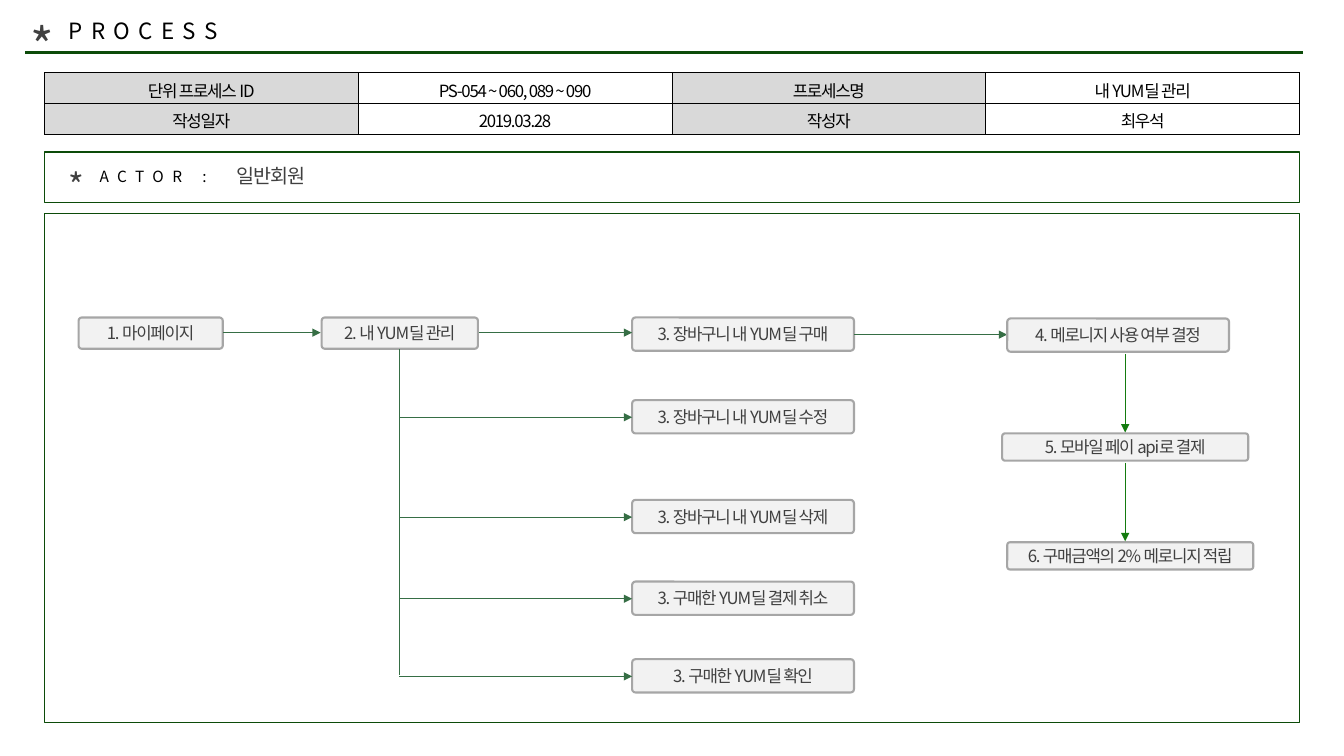
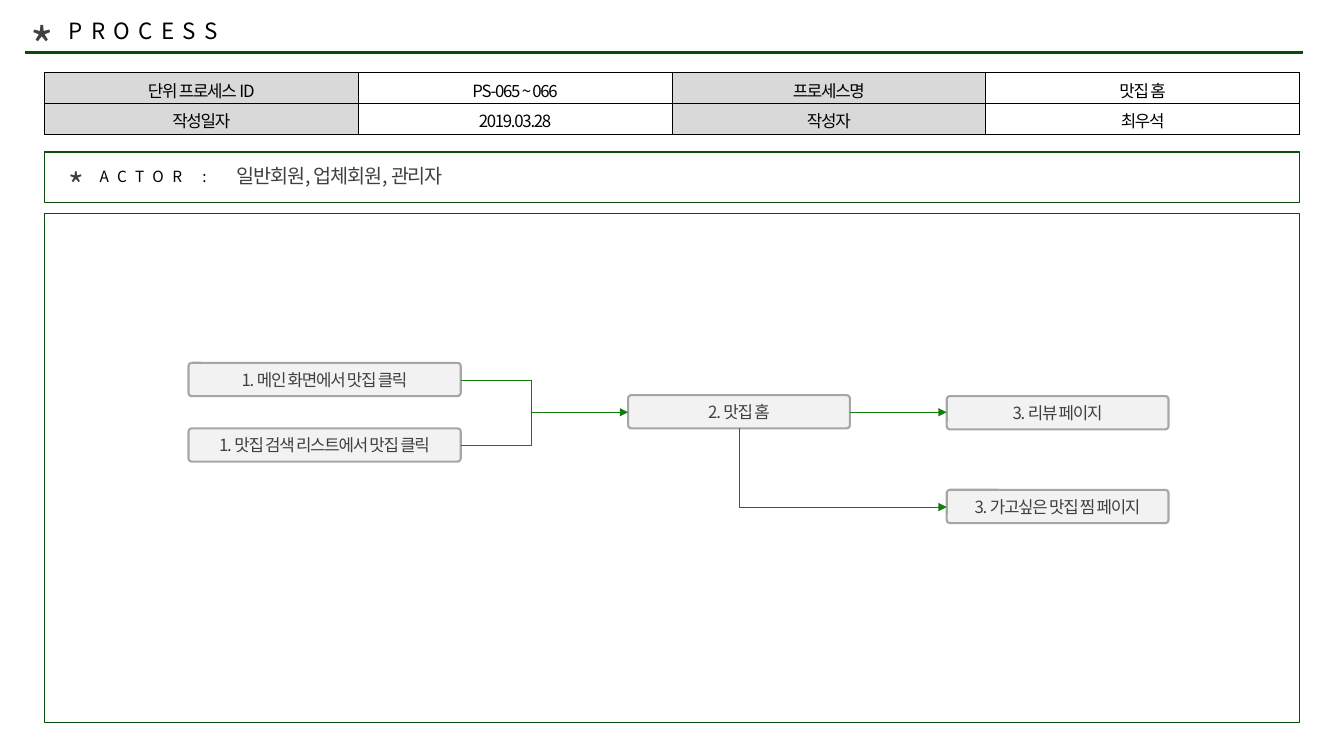
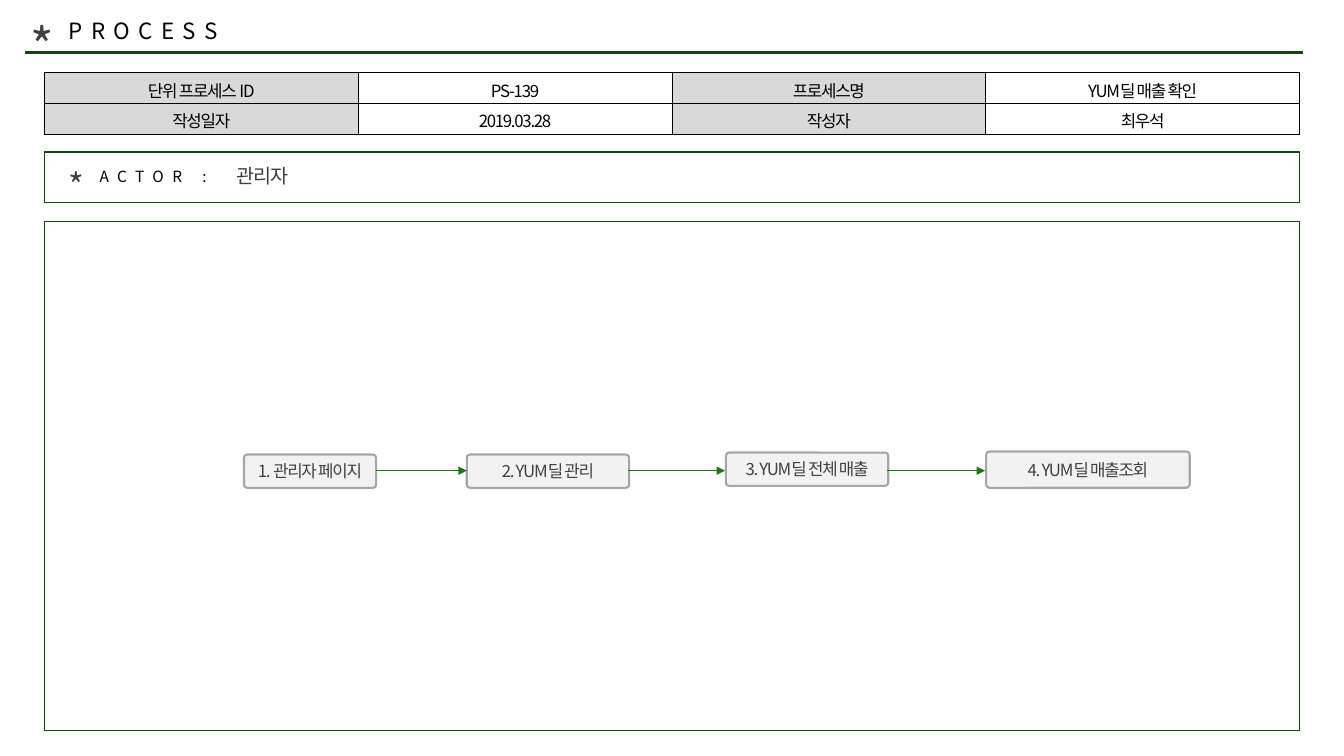
from pptx import Presentation
from pptx.dml.color import RGBColor
from pptx.enum.shapes import MSO_CONNECTOR, MSO_SHAPE
from pptx.enum.text import MSO_ANCHOR, MSO_AUTO_SIZE, PP_ALIGN
from pptx.oxml.ns import qn
from pptx.util import Inches, Pt
from lxml import etree

RECT, ROUND = MSO_SHAPE.RECTANGLE, MSO_SHAPE.ROUNDED_RECTANGLE
LINE = MSO_CONNECTOR.STRAIGHT
TOP, MID = MSO_ANCHOR.TOP, MSO_ANCHOR.MIDDLE
LEFT, MIDDLE = PP_ALIGN.LEFT, PP_ALIGN.CENTER
GROW, FIXED = MSO_AUTO_SIZE.SHAPE_TO_FIT_TEXT, MSO_AUTO_SIZE.NONE

FONT = "Noto Sans CJK KR"
BLACK, GREY, HEAD = "000000", "404040", "D9D9D9"
PALE, EDGE = "F2F2F2", "A6A6A6"
DARK, MOSS, GREEN = "0C4B09", "366E45", "147B0F"
TIGHT, WIDE = -0.9, 6
TITLE_ONLY = 5


def color(code):
    return RGBColor.from_string(code)


def apply(item, values):
    for name, value in values.items():
        setattr(item, name, value)


class Deck:
    """Holds the shared style and the current slide."""

    def __init__(self):
        self.prs = Presentation()
        apply(self.prs, {"slide_width": Inches(13.33),
                         "slide_height": Inches(7.5)})

    def place(self, box):
        return [Inches(v) for v in box]

    def text(self, frame, words, size, ink, space=TIGHT, align=LEFT):
        para = frame.paragraphs[0]
        para.alignment = align
        run = para.add_run()
        run.text = words
        apply(run.font, {"name": FONT, "size": Pt(size), "bold": False})
        run.font.color.rgb = color(ink)
        props = run._r.get_or_add_rPr()
        props.set("spc", str(int(space * 100)))
        etree.SubElement(props, qn("a:ea")).set("typeface", FONT)

    def label(self, box, words, size, ink=GREY, space=TIGHT, shape=None):
        shape = shape or self.slide.shapes.add_textbox(*self.place(box))
        frame = shape.text_frame
        apply(frame, {"word_wrap": True, "auto_size": GROW,
                      "vertical_anchor": TOP})
        self.text(frame, words, size, ink, space)

    def title(self, words):
        shape = self.slide.shapes.title
        spots = self.place((0.58, 0.12, 4.32, 0.37))
        apply(shape, dict(zip(("left", "top", "width", "height"), spots)))
        self.label(None, words, 16, BLACK, WIDE, shape)

    def shape(self, kind, box, edge, width, fill=None):
        shape = self.slide.shapes.add_shape(kind, *self.place(box))
        shape.shadow.inherit = False
        if fill:
            shape.fill.solid()
            shape.fill.fore_color.rgb = color(fill)
        else:
            shape.fill.background()
        shape.line.color.rgb = color(edge)
        shape.line.width = Pt(width)
        return shape

    def step(self, words, x, y, w, h=0.33):
        shape = self.shape(ROUND, (x, y, w, h), EDGE, 1.5, PALE)
        shape.adjustments[0] = 0.1
        frame = shape.text_frame
        apply(frame, {"word_wrap": True, "auto_size": FIXED,
                      "vertical_anchor": MID})
        apply(frame, {"margin_" + side: Inches(0.04)
                      for side in ("left", "top", "right", "bottom")})
        self.text(frame, words, 12, GREY, align=MIDDLE)

    def link(self, x1, y1, x2, y2, ink=GREEN, arrow=True, width=0.5):
        line = self.slide.shapes.add_connector(
            LINE, *self.place((x1, y1, x2, y2)))
        line.line.color.rgb = color(ink)
        line.line.width = Pt(width)
        props = line._element.spPr
        if arrow:
            etree.SubElement(props.find(qn("a:ln")), qn("a:tailEnd"),
                             type="triangle")
        etree.SubElement(props, qn("a:effectLst"))

    def cell(self, cell, words, fill):
        props = cell._tc.get_or_add_tcPr()
        for side in "LRTB":
            edge = etree.SubElement(props, qn("a:ln" + side),
                                    w=str(Pt(0.5)))
            paint = etree.SubElement(edge, qn("a:solidFill"))
            etree.SubElement(paint, qn("a:srgbClr"), val=BLACK)
        if fill:
            cell.fill.solid()
            cell.fill.fore_color.rgb = color(fill)
        else:
            cell.fill.background()
        cell.vertical_anchor = MID
        self.text(cell.text_frame, words, 12, BLACK, align=MIDDLE)

    def table(self, rows):
        box = self.place((0.44, 0.72, 12.45, 0.61))
        table = self.slide.shapes.add_table(len(rows), 4, *box).table
        apply(table, {"first_row": False, "horz_banding": False})
        for r, row in enumerate(rows):
            for c, words in enumerate(row):
                self.cell(table.cell(r, c), words, None if c % 2 else HEAD)

    def page(self, code, name, actor, top=2.12):
        layout = self.prs.slide_layouts[TITLE_ONLY]
        self.slide = self.prs.slides.add_slide(layout)
        # Heading
        self.link(0.25, 0.52, 12.92, 0.52, DARK, False, 2.25)
        self.label((0.2, 0.1, 0.52, 0.71), "*", 36)
        self.title("PROCESS")
        # Process facts
        self.table([("단위 프로세스 ID", code, "프로세스명", name),
                    ("작성일자", "2019.03.28", "작성자", "최우석")])
        # Actor band
        self.label((0.58, 1.59, 0.52, 0.5), "*", 24)
        self.label((0.89, 1.61, 1.33, 0.29), "ACTOR :", 11, BLACK, WIDE)
        self.shape(RECT, (0.44, 1.51, 12.45, 0.5), DARK, 1)
        self.label((2.25, 1.58, 4.32, 0.34), actor, 14)
        # Flow panel
        self.shape(RECT, (0.44, top, 12.45, 5.05), DARK, 1)


def manage(deck):
    deck.page("PS-054 ~ 060, 089 ~ 090", "내 YUM딜 관리", "일반회원")
    # Main row
    deck.step("1. 마이페이지", 0.78, 3.15, 1.43, 0.31)
    deck.step("2. 내 YUM딜 관리", 3.19, 3.15, 1.55, 0.31)
    deck.step("3. 장바구니 내 YUM딜 구매", 6.27, 3.15, 2.2)
    deck.link(2.21, 3.3, 3.18, 3.3, MOSS)
    deck.link(4.75, 3.3, 6.27, 3.3, MOSS)
    deck.link(8.47, 3.32, 9.99, 3.32, MOSS)
    # Branches
    deck.link(3.96, 3.46, 3.96, 6.7, MOSS, False)
    for y, words in ((3.97, "장바구니 내 YUM딜 수정"),
                     (4.96, "장바구니 내 YUM딜 삭제"),
                     (5.77, "구매한 YUM딜 결제 취소"),
                     (6.54, "구매한 YUM딜 확인")):
        deck.step("3. " + words, 6.27, y, 2.2)
        deck.link(3.96, y + 0.17, 6.27, y + 0.17, MOSS)
    # Payment column
    deck.step("4. 메로니지 사용 여부 결정", 9.99, 3.16, 2.2)
    deck.step("5. 모바일 페이 api로 결제", 9.94, 4.3, 2.44, 0.27)
    deck.step("6. 구매금액의 2% 메로니지 적립", 9.99, 5.38, 2.44, 0.27)
    for y in (3.51, 4.59):
        deck.link(11.16, y, 11.16, y + 0.78)


def home(deck):
    deck.page("PS-065 ~ 066", "맛집 홈", "일반회원, 업체회원, 관리자")
    # Entry points joined by a bracket
    for y, words in ((3.6, "메인 화면에서 맛집 클릭"),
                     (4.25, "맛집 검색 리스트에서 맛집 클릭")):
        deck.step("1. " + words, 1.87, y, 2.7)
        deck.link(4.57, y + 0.17, 5.27, y + 0.17, arrow=False)
    deck.link(5.27, 3.77, 5.27, 4.42, arrow=False)
    # Home and its two pages
    deck.step("2. 맛집 홈", 6.23, 3.92, 2.2)
    deck.step("3. 리뷰 페이지", 9.39, 3.93, 2.2)
    deck.step("3. 가고싶은 맛집 찜 페이지", 9.39, 4.86, 2.2)
    deck.link(5.27, 4.09, 6.23, 4.09)
    deck.link(8.43, 4.09, 9.39, 4.09)
    deck.link(7.33, 4.25, 7.33, 5.03, arrow=False)
    deck.link(7.33, 5.03, 9.39, 5.03)


def sales(deck):
    deck.page("PS-139", "YUM딜 매출 확인", "관리자", 2.2)
    # Single row
    deck.step("1. 관리자 페이지", 2.42, 4.51, 1.31)
    deck.step("2. YUM딜 관리", 4.63, 4.51, 1.61)
    deck.step("3. YUM딜 전체 매출", 7.2, 4.49, 1.61)
    deck.step("4. YUM딜 매출조회", 9.78, 4.48, 2.02, 0.36)
    for start, end in ((3.73, 4.63), (6.23, 7.19), (8.8, 9.77)):
        deck.link(start, 4.67, end, 4.67)


def main():
    deck = Deck()
    for build in (manage, home, sales):
        build(deck)
    deck.prs.save("out.pptx")


if __name__ == "__main__":
    main()
